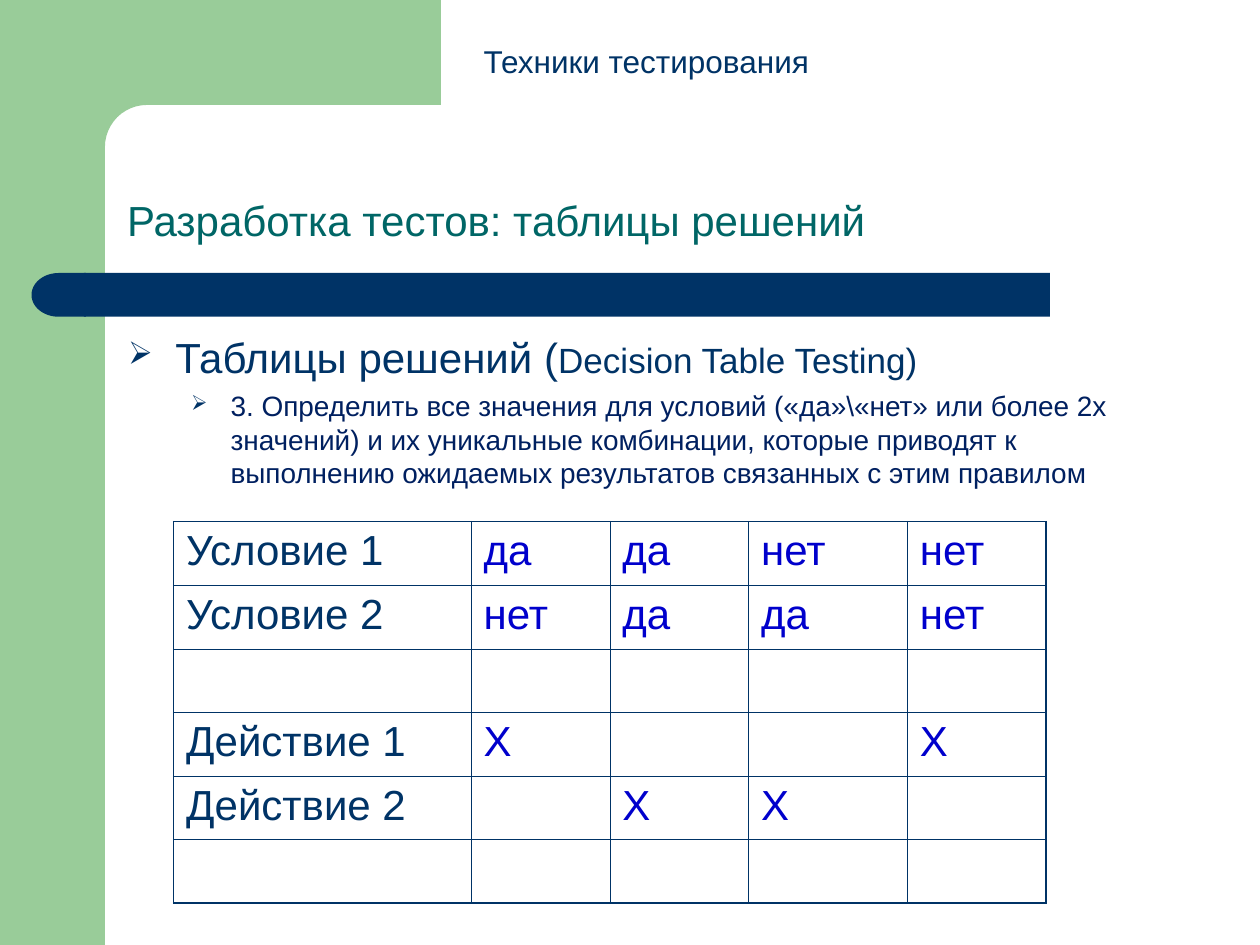
import math
from dataclasses import dataclass

from lxml import etree
from pptx import Presentation
from pptx import util as u
from pptx.dml.color import RGBColor
from pptx.enum import shapes, text
from pptx.oxml.ns import qn


@dataclass(frozen=True)
class Theme:
    font: str = "Arial"
    green: str = "99CC99"
    navy: str = "003366"
    teal: str = "006666"
    detail: str = "002060"
    value: str = "0000CC"
    large: int = 24
    medium: int = 20
    header: int = 18
    small: int = 16
    outer_line: float = 1.08
    inner_line: float = 0.45


class SlideBuilder:
    def __init__(self, slide, theme):
        self.s = slide
        self.t = theme

    def paint(self, sp, color):
        sp.shadow.inherit = False
        sp.fill.solid()
        sp.fill.fore_color.rgb = RGBColor.from_string(color)
        sp.line.fill.background()
        return sp

    def shape(self, kind, box, color):
        sp = self.s.shapes.add_shape(kind, *map(u.Pt, box))
        return self.paint(sp, color)

    def outline(self, points, color):
        start, *rest = [(u.Pt(x), u.Pt(y)) for x, y in points]
        builder = self.s.shapes.build_freeform(*start)
        builder.add_line_segments(rest, close=True)
        return self.paint(builder.convert_to_shape(), color)

    def textbox(self, box, anchor=text.MSO_ANCHOR.TOP):
        tf = self.s.shapes.add_textbox(*map(u.Pt, box)).text_frame
        tf.word_wrap = True
        tf.vertical_anchor = anchor
        return tf

    def run(self, p, words, size, color):
        r = p.add_run()
        r.text = words
        r.font.name = self.t.font
        r.font.size = u.Pt(size)
        r.font.color.rgb = RGBColor.from_string(color)

    def bullet(self, p, left, hanging, before):
        p.space_before = u.Pt(before)
        pPr = p._p.get_or_add_pPr()
        pPr.set("marL", str(u.Pt(left)))
        pPr.set("indent", str(-u.Pt(hanging)))
        clr = etree.SubElement(pPr, qn("a:buClr"))
        etree.SubElement(clr, qn("a:srgbClr"), val=self.t.navy)
        etree.SubElement(pPr, qn("a:buSzPct"), val="75000")
        etree.SubElement(pPr, qn("a:buChar"), char="➢")

    def border(self, cell, side, width):
        tcPr = cell._tc.get_or_add_tcPr()
        ln = etree.SubElement(tcPr, qn(f"a:ln{side}"), w=str(u.Pt(width)))
        fill = etree.SubElement(ln, qn("a:solidFill"))
        etree.SubElement(fill, qn("a:srgbClr"), val=self.t.navy)

    def table(self, left, top, widths, row_height, rows):
        n_rows, n_cols = len(rows), len(widths)
        box = (left, top, sum(widths), row_height * n_rows)
        table = self.s.shapes.add_table(n_rows, n_cols, *map(u.Pt, box)).table
        table.first_row = table.horz_banding = False
        for column, width in zip(table.columns, widths):
            column.width = u.Pt(width)
        for i, row in enumerate(rows):
            table.rows[i].height = u.Pt(row_height)
            for j, words in enumerate(row):
                cell = table.cell(i, j)
                # Heavier lines on the outside of the table
                outside = {"L": j == 0, "R": j == n_cols - 1,
                           "T": i == 0, "B": i == n_rows - 1}
                for side, outer in outside.items():
                    self.border(cell, side, self.t.outer_line if outer else self.t.inner_line)
                cell.fill.background()
                if words:
                    p = cell.text_frame.paragraphs[0]
                    p.space_before = u.Pt(6)
                    self.run(p, words, self.t.large, self.t.value if j else self.t.navy)


def main():
    prs = Presentation()
    prs.slide_width, prs.slide_height = u.Pt(720), u.Pt(540)
    t = Theme()
    b = SlideBuilder(prs.slides.add_slide(prs.slide_layouts[6]), t)
    kinds = shapes.MSO_SHAPE

    # Green frame with a rounded inner corner
    edge, radius, steps = 60, 24, 12
    b.shape(kinds.RECTANGLE, (0, 0, edge, 540), t.green)
    center = edge + radius
    angles = [math.pi / 2 * k / steps for k in range(steps + 1)]
    corner = [(center - radius * math.sin(a), center - radius * math.cos(a)) for a in angles]
    b.outline([(252, 0), (252, edge), *corner, (edge, 92), (36, 92), (36, 0)], t.green)

    # Navy bar with a round left end
    b.shape(kinds.RECTANGLE, (48, 156, 552, 25), t.navy)
    b.shape(kinds.FLOWCHART_DELAY, (18, 156, 31, 25), t.navy).rotation = 180

    # Title
    p = b.textbox((65.5, 65.5, 613, 78.5), text.MSO_ANCHOR.BOTTOM).paragraphs[0]
    p.line_spacing = 0.9
    b.run(p, "Разработка тестов: таблицы решений", t.large, t.teal)

    # Bulleted text
    tf = b.textbox((66.2, 185.8, 600.5, 311))
    p = tf.paragraphs[0]
    b.bullet(p, 27, 27, 5)
    b.run(p, "Таблицы решений (", t.large, t.navy)
    b.run(p, "Decision Table Testing)", t.medium, t.navy)
    p = tf.add_paragraph()
    p.level = 1
    b.bullet(p, 58.5, 22.5, 4)
    b.run(p, "3. Определить все значения для условий («да»\\«нет» или более 2х значений) "
             "и их уникальные комбинации, которые приводят к выполнению ожидаемых "
             "результатов связанных с этим правилом", t.small, t.detail)

    # Section header
    p = b.textbox((269.3, 20.2, 420, 29)).paragraphs[0]
    p.space_before = u.Pt(11.2)
    b.run(p, "Техники тестирования", t.header, t.navy)

    # Decision table
    b.table(99.2, 298.1, (170, 79.3, 79.3, 90.7, 79.3), 36.35, [
        ("Условие 1", "да", "да", "нет", "нет"),
        ("Условие 2", "нет", "да", "да", "нет"),
        ("",) * 5,
        ("Действие 1", "X", "", "", "X"),
        ("Действие 2", "", "X", "X", ""),
        ("",) * 5,
    ])

    prs.save("out.pptx")


if __name__ == "__main__":
    main()
